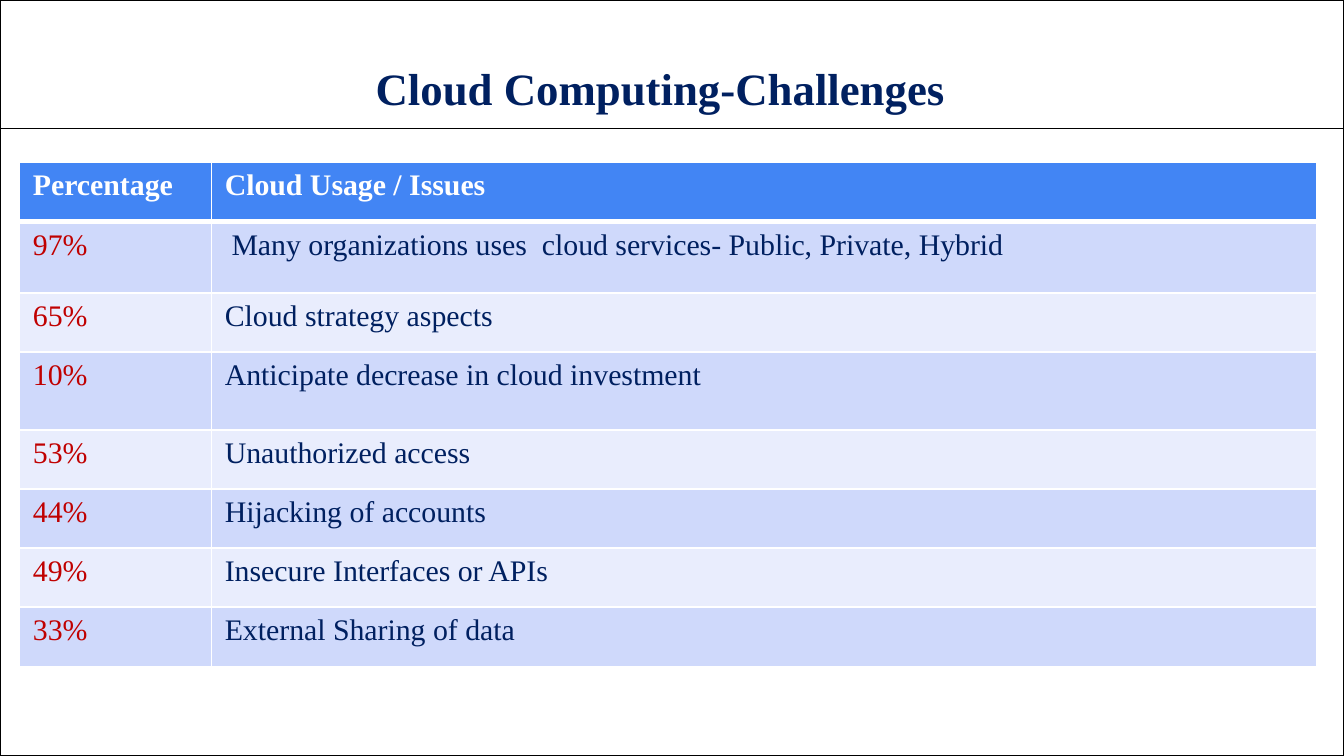
from dataclasses import dataclass

from lxml.etree import SubElement
from pptx import Presentation
from pptx.dml.color import RGBColor
from pptx.enum.shapes import MSO_CONNECTOR, MSO_SHAPE
from pptx.enum.text import MSO_ANCHOR, PP_ALIGN
from pptx.oxml.ns import qn
from pptx.util import Inches, Pt


@dataclass(frozen=True)
class Theme:
    font: str = "Times New Roman"
    title_size: int = 24
    cell_size: int = 16
    rule_width: int = 1
    header_rule_width: int = 3
    black: str = "000000"
    white: str = "FFFFFF"
    navy: str = "002060"
    red: str = "C00000"
    header: str = "4285F4"
    bands: tuple = ("CFD9FB", "E9EDFD")


THEME = Theme()
WIDTH = Inches(10)
HEIGHT = WIDTH * 9 // 16

TITLE = "Cloud Computing-Challenges"
HEADINGS = ("Percentage", "Cloud Usage / Issues")
ISSUES = [
    ("97%", "Many organizations uses  cloud services- Public, Private, Hybrid"),
    ("65%", "Cloud strategy aspects"),
    ("10%", "Anticipate decrease in cloud investment"),
    ("53%", "Unauthorized access"),
    ("44%", "Hijacking of accounts"),
    ("49%", "Insecure Interfaces or APIs"),
    ("33%", "External Sharing of data"),
]
ROW_HEIGHT = 0.44
TALL_ROWS = {1: 0.53, 3: 0.58}
COLUMN_SHARES = (0.148, 0.852)


def rgb(value):
    return RGBColor.from_string(value)


def style_text(tf, size, color, bold=False):
    for p in tf.paragraphs:
        for r in p.runs:
            r.font.name = THEME.font
            r.font.size = Pt(size)
            r.font.bold = bold
            r.font.color.rgb = rgb(color)


def style_line(line):
    line.color.rgb = rgb(THEME.black)
    line.width = Pt(THEME.rule_width)


def add_frame(slide, left, top, width, height):
    """Outline the slide and rule off its title band."""
    sp = slide.shapes.add_shape(MSO_SHAPE.RECTANGLE, left, top, width, height)
    sp.shadow.inherit = False
    sp.fill.background()
    style_line(sp.line)

    rule_y = top + int(height * 0.17)
    rule = slide.shapes.add_connector(
        MSO_CONNECTOR.STRAIGHT, left, rule_y, left + width, rule_y)
    style_line(rule.line)
    SubElement(rule._element.spPr, qn("a:effectLst"))


def add_title(slide, left, top, width, height):
    tf = slide.shapes.add_textbox(left, top, width, height).text_frame
    tf.word_wrap = True
    tf.vertical_anchor = MSO_ANCHOR.BOTTOM
    tf.margin_left = Inches(0.5)
    tf.text = TITLE
    tf.paragraphs[0].alignment = PP_ALIGN.CENTER
    style_text(tf, THEME.title_size, THEME.navy, bold=True)


def set_borders(cell, top, bottom):
    tc_pr = cell._tc.get_or_add_tcPr()
    widths = {"lnL": THEME.rule_width, "lnR": THEME.rule_width,
              "lnT": top, "lnB": bottom}
    for side, width in widths.items():
        ln = SubElement(tc_pr, qn(f"a:{side}"), w=str(Pt(width)))
        fill = SubElement(ln, qn("a:solidFill"))
        SubElement(fill, qn("a:srgbClr"), val=THEME.white)


def add_issue_table(slide, left, top, width):
    rows = [HEADINGS, *ISSUES]
    heights = [Inches(TALL_ROWS.get(i, ROW_HEIGHT)) for i in range(len(rows))]
    table = slide.shapes.add_table(
        len(rows), len(HEADINGS), left, top, width, sum(heights)).table
    for column, share in zip(table.columns, COLUMN_SHARES):
        column.width = int(width * share)

    for i, (values, height) in enumerate(zip(rows, heights)):
        table.rows[i].height = height
        is_header = i == 0
        fill = THEME.header if is_header else THEME.bands[(i - 1) % 2]
        colors = (THEME.white,) * 2 if is_header else (THEME.red, THEME.navy)
        above = THEME.header_rule_width if i == 1 else THEME.rule_width
        below = THEME.header_rule_width if is_header else THEME.rule_width
        for j, (value, color) in enumerate(zip(values, colors)):
            cell = table.cell(i, j)
            set_borders(cell, above, below)
            cell.fill.solid()
            cell.fill.fore_color.rgb = rgb(fill)
            cell.text_frame.text = value
            style_text(cell.text_frame, THEME.cell_size, color, is_header)
    table.cell(1, 1).margin_left = Inches(0.15)


def main():
    prs = Presentation()
    prs.slide_width, prs.slide_height = WIDTH, HEIGHT
    slide = prs.slides.add_slide(prs.slide_layouts[6])
    add_frame(slide, 0, 0, WIDTH, HEIGHT)
    add_title(slide, int(WIDTH * 0.167), 0, int(WIDTH * 0.608), int(HEIGHT * 0.16))
    add_issue_table(slide, int(WIDTH * 0.0145), int(HEIGHT * 0.215), int(WIDTH * 0.965))
    prs.save("out.pptx")


if __name__ == "__main__":
    main()
